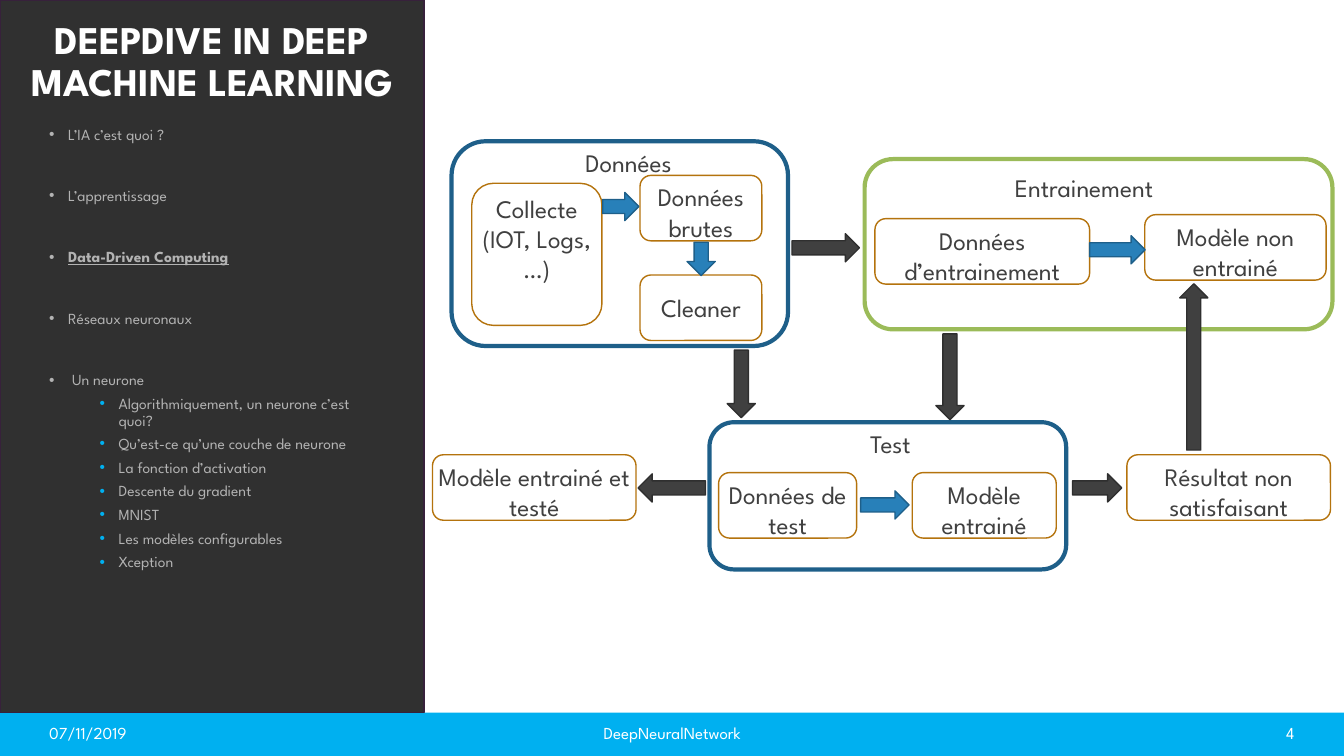
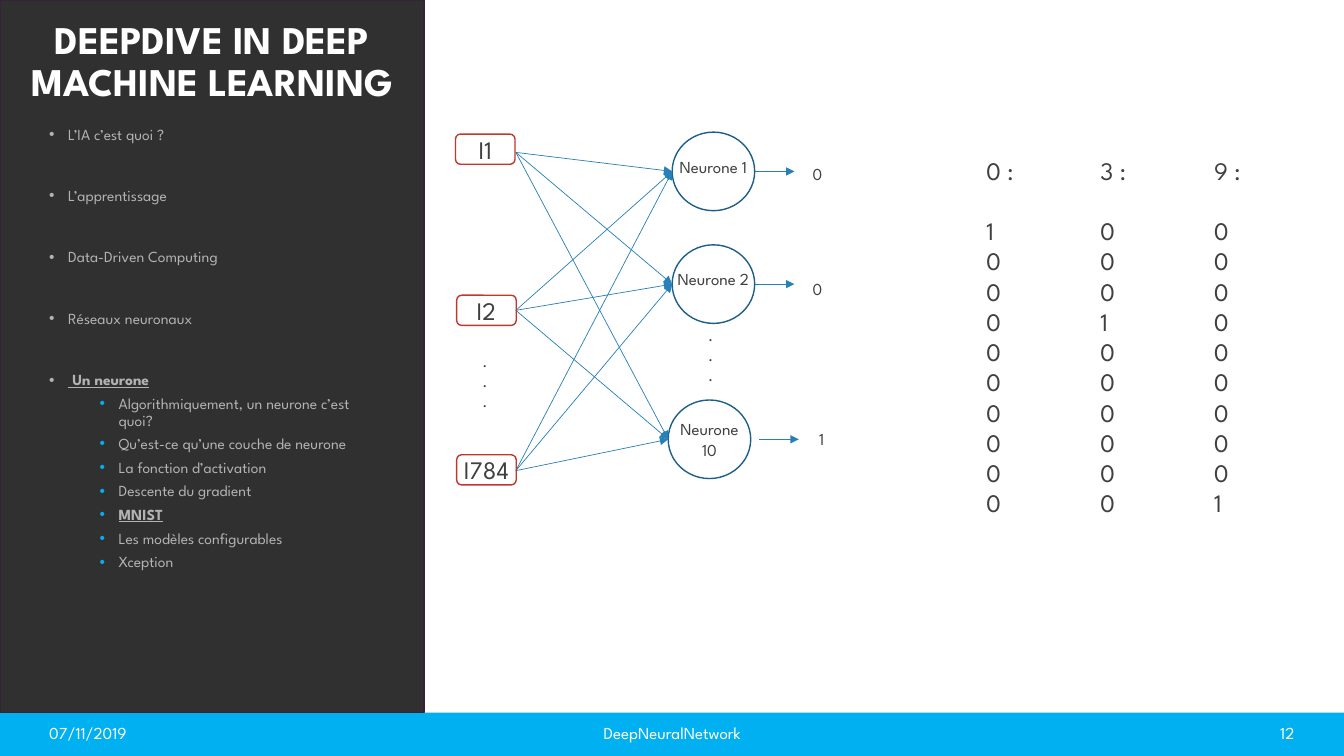
from lxml import etree
from pptx import Presentation
from pptx.dml.color import RGBColor
from pptx.enum.shapes import MSO_CONNECTOR, MSO_SHAPE
from pptx.enum.text import MSO_ANCHOR, MSO_AUTO_SIZE, PP_ALIGN
from pptx.oxml.ns import qn
from pptx.util import Cm, Pt

# Shared style
FONT = "League Spartan"
SKY, WHITE, SILVER, INK = "00B0F0", "FFFFFF", "B3B3B3", "404040"
NAVY, BLUE, GREEN, OCHRE, RED = "1E5F89", "2880B9", "9BBB59", "B4730D", "C0382B"
COAL, PLUM, BLACKISH = "303030", "37213B", "2F2F2F"
WIDTH, HEIGHT, SIDE_WIDTH, BAND_TOP = 33.87, 19.05, 10.69, 17.96
LEFT, CENTER, RIGHT = PP_ALIGN.LEFT, PP_ALIGN.CENTER, PP_ALIGN.RIGHT
TITLE_ONLY = 5

# Menu entries: text and level
MENU = [
    ("L’IA c’est quoi ?", 0),
    ("L’apprentissage", 0),
    ("Data-Driven Computing", 0),
    ("Réseaux neuronaux", 0),
    (" Un neurone", 0),
    ("Algorithmiquement, un neurone c’est quoi?", 1),
    ("Qu’est-ce qu’une couche de neurone", 1),
    ("La fonction d’activation", 1),
    ("Descente du gradient", 1),
    ("MNIST", 1),
    ("Les modèles configurables", 1),
    ("Xception", 1),
]


def color(value):
    return RGBColor.from_string(value)


def write(paragraph, text, size=18, ink=INK, align=CENTER, bold=False,
          underline=False, line_spacing=None, before=None):
    """Add formatted text to a paragraph."""
    paragraph.alignment = align
    if line_spacing:
        paragraph.line_spacing = line_spacing
    if before is not None:
        paragraph.space_before = Pt(before)
    run = paragraph.add_run()
    run.text = text
    font = run.font
    font.name, font.size, font.bold, font.underline = FONT, Pt(size), bold, underline
    font.color.rgb = color(ink)


def write_lines(frame, text, **style):
    """Write one paragraph for each line of the text."""
    for index, line in enumerate(text.split("\n")):
        paragraph = frame.add_paragraph() if index else frame.paragraphs[0]
        write(paragraph, line, **style)


def add_text(slide, text, left, top, width, height, anchor=MSO_ANCHOR.TOP, **style):
    box = slide.shapes.add_textbox(Cm(left), Cm(top), Cm(width), Cm(height))
    frame = box.text_frame
    frame.word_wrap, frame.vertical_anchor = True, anchor
    write_lines(frame, text, **style)
    return frame


def add_figure(slide, kind, left, top, width, height, line=None, weight=1, fill=None):
    shape = slide.shapes.add_shape(kind, Cm(left), Cm(top), Cm(width), Cm(height))
    shape.shadow.inherit = False
    if fill:
        shape.fill.solid()
        shape.fill.fore_color.rgb = color(fill)
    else:
        shape.fill.background()
    if line:
        shape.line.color.rgb = color(line)
        shape.line.width = Pt(weight)
    else:
        shape.line.fill.background()
    return shape


def add_node(slide, kind, text, left, top, width, height, line,
             anchor=MSO_ANCHOR.MIDDLE, wrap=True, lift=0, size=18):
    """Outlined shape with its text; lift raises centred text."""
    frame = add_figure(slide, kind, left, top, width, height, line).text_frame
    frame.margin_left = frame.margin_right = frame.margin_top = 0
    frame.margin_bottom = Cm(lift)
    if anchor == MSO_ANCHOR.TOP:
        frame.margin_top = Cm(0.08)
    frame.vertical_anchor, frame.word_wrap = anchor, wrap
    write_lines(frame, text, size=size)


def add_block_arrow(slide, left, top, length, rotation, fill, line):
    arrow = add_figure(slide, MSO_SHAPE.RIGHT_ARROW, left, top, length, 0.71, line, fill=fill)
    arrow.rotation = rotation


def add_link(slide, start_x, start_y, end_x, end_y):
    """Thin line with an arrowhead at its end."""
    link = slide.shapes.add_connector(
        MSO_CONNECTOR.STRAIGHT, Cm(start_x), Cm(start_y), Cm(end_x), Cm(end_y))
    link.line.color.rgb = color(BLUE)
    link.line.width = Pt(0.5)
    properties = link.element.find(qn("p:spPr"))
    etree.SubElement(properties.find(qn("a:ln")), qn("a:tailEnd"), type="triangle")
    etree.SubElement(properties, qn("a:effectLst"))


def add_bullet(paragraph, indent, bullet_color=None):
    properties = paragraph._p.get_or_add_pPr()
    properties.set("marL", str(Cm(indent)))
    properties.set("indent", str(-Cm(0.48)))
    if bullet_color:
        holder = etree.SubElement(properties, qn("a:buClr"))
        etree.SubElement(holder, qn("a:srgbClr"), val=bullet_color)
    etree.SubElement(properties, qn("a:buFont"), typeface="Arial")
    etree.SubElement(properties, qn("a:buChar"), char="•")


def add_menu(slide, current):
    """List of topics, with the current ones stressed."""
    box = slide.shapes.add_textbox(Cm(0.99), Cm(3.07), Cm(8.28), Cm(13.39))
    frame = box.text_frame
    frame.word_wrap = True
    for index, (text, level) in enumerate(MENU):
        paragraph = frame.add_paragraph() if index else frame.paragraphs[0]
        before = 5 if level else 32 if index else 10
        stressed = text.strip() in current
        paragraph.level = level
        write(paragraph, text, size=11, ink=SILVER, align=LEFT, bold=stressed,
              underline=stressed, line_spacing=0.9, before=before)
        add_bullet(paragraph, 1.75 if level else 0.48, SKY if level else None)


def prepare_layout(presentation):
    """Put the sidebar and the footer band on the title-only layout."""
    layout = presentation.slide_layouts[TITLE_ONLY]
    for placeholder in list(layout.placeholders):
        if placeholder.placeholder_format.idx:
            placeholder.element.getparent().remove(placeholder.element)
    slide = presentation.slides.add_slide(layout)
    band = add_figure(slide, MSO_SHAPE.RECTANGLE, 0, BAND_TOP, WIDTH, HEIGHT - BAND_TOP, fill=SKY)
    sidebar = add_figure(slide, MSO_SHAPE.RECTANGLE, 0, 0, SIDE_WIDTH, BAND_TOP, PLUM, fill=COAL)
    for shape in (band, sidebar):
        layout.shapes.element.append(shape.element)
    return slide


def fill_frame(slide, number, current):
    """Title, menu and footer of a slide."""
    title = slide.shapes.title
    title.left, title.top, title.width, title.height = Cm(0), Cm(0.38), Cm(SIDE_WIDTH), Cm(4.7)
    frame = title.text_frame
    frame.word_wrap, frame.auto_size = True, MSO_AUTO_SIZE.NONE
    frame.vertical_anchor = MSO_ANCHOR.TOP
    write(frame.paragraphs[0], "DEEPDIVE IN DEEP MACHINE LEARNING",
          size=28, ink=WHITE, bold=True, line_spacing=0.9)
    add_menu(slide, current)
    for text, left, width, align in (("07/11/2019", 0.99, 7.62, LEFT),
                                     ("DeepNeuralNetwork", 11.23, 11.43, CENTER),
                                     (str(number), 25.25, 7.62, RIGHT)):
        add_text(slide, text, left, BAND_TOP, width, 1.02, MSO_ANCHOR.MIDDLE,
                 size=12, ink=WHITE, align=align)


def draw_pipeline(slide):
    # Stages: outline, then label
    for area, line, text, label in (
            ((11.38, 3.56, 8.48, 5.16), NAVY, "Données", (12.12, 3.58, 7.44)),
            ((21.79, 4.01, 11.79, 4.29), GREEN, "Entrainement", (21.16, 4.22, 12.32)),
            ((17.88, 10.64, 8.99, 3.71), NAVY, "Test", (17.83, 10.67, 9.22))):
        add_figure(slide, MSO_SHAPE.ROUNDED_RECTANGLE, *area, line, weight=3)
        add_text(slide, text, *label, 1.02)

    # Steps
    top, middle, step = MSO_ANCHOR.TOP, MSO_ANCHOR.MIDDLE, 1.65
    for text, left, y, width, height, anchor in (
            ("Collecte\n(IOT, Logs,\n…)", 11.89, 4.62, 3.28, 3.58, top),
            ("Données brutes", 16.13, 4.42, 3.07, step, top),
            ("Cleaner", 16.13, 6.93, 3.07, step, middle),
            ("Données d’entrainement", 22.05, 5.51, 5.41, step, top),
            ("Modèle non entrainé", 28.85, 5.41, 4.57, step, top),
            ("Données de test", 18.11, 11.91, 3.48, step, top),
            ("Modèle entrainé", 22.99, 11.91, 3.63, step, top),
            ("Résultat non satisfaisant", 28.4, 11.46, 5.13, step, top),
            ("Modèle entrainé et testé", 10.9, 11.46, 5.13, step, top)):
        add_node(slide, MSO_SHAPE.ROUNDED_RECTANGLE, text, left, y, width, height, OCHRE, anchor)

    # Arrows inside a stage, then between stages
    for arrow in ((15.19, 4.85, 0.91, 0), (17.25, 6.17, 0.84, 90),
                  (27.46, 5.94, 1.4, 0), (21.69, 12.37, 1.22, 0)):
        add_block_arrow(slide, *arrow, BLUE, NAVY)
    for arrow in ((17.83, 9.32, 1.7, 90), (19.96, 5.89, 1.7, 0), (22.86, 9.14, 2.16, 90),
                  (27.03, 11.94, 1.24, 0), (27.99, 8.89, 4.19, 270), (16.08, 11.94, 1.7, 180)):
        add_block_arrow(slide, *arrow, INK, BLACKISH)


def draw_network(slide):
    # Inputs: text, left, top, start height of the links
    inputs = (("I1", 11.48, 3.38, 3.84), ("I2", 11.51, 7.44, 7.82), ("I784", 11.51, 11.46, 11.86))
    # Neurons: text, left, top, lift, output start, output value, value top
    neurons = (("Neurone 1", 16.94, 3.33, 0.25, 19.02, "0", 3.99),
               ("Neurone 2", 16.94, 6.17, 0.25, 19.02, "0", 6.91),
               ("Neurone\n10", 16.84, 10.08, 0, 19.13, "1", 10.67))
    for text, left, top, lift, output, value, value_top in neurons:
        center = top + 0.99
        add_node(slide, MSO_SHAPE.OVAL, text, left, top, 2.08, 1.98, NAVY,
                 wrap=False, lift=lift, size=12)
        for *_, start in inputs:
            add_link(slide, 13, start, left, center)
        add_link(slide, output, center, output + 1, center)
        add_text(slide, value, output + 1.06, value_top, 1.04, 0.76, size=12)
    for text, left, top, _ in inputs:
        add_node(slide, MSO_SHAPE.ROUNDED_RECTANGLE, text, left, top, 1.5, 0.76, RED, wrap=False)
    for left, top in ((11, 8.71), (16.69, 8.05)):
        add_text(slide, ".\n.\n.", left, top, 2.44, 1.8, size=12)


def draw_codes(slide):
    """Expected outputs of the ten neurons for three digits."""
    for column, digit in enumerate((0, 3, 9)):
        frame = add_text(slide, f"{digit} :", 24.61 + 2.87 * column, 3.78, 1.4, 9.5, align=LEFT)
        for row in range(10):
            write(frame.add_paragraph(), str(int(row == digit)), align=LEFT,
                  before=0 if row else 21.6)


def main():
    presentation = Presentation()
    presentation.slide_width, presentation.slide_height = Cm(WIDTH), Cm(HEIGHT)

    # Data pipeline
    slide = prepare_layout(presentation)
    fill_frame(slide, 4, {"Data-Driven Computing"})
    draw_pipeline(slide)

    # Digit recognition network
    slide = presentation.slides.add_slide(presentation.slide_layouts[TITLE_ONLY])
    fill_frame(slide, 12, {"Un neurone", "MNIST"})
    draw_network(slide)
    draw_codes(slide)

    presentation.save("out.pptx")


if __name__ == "__main__":
    main()
